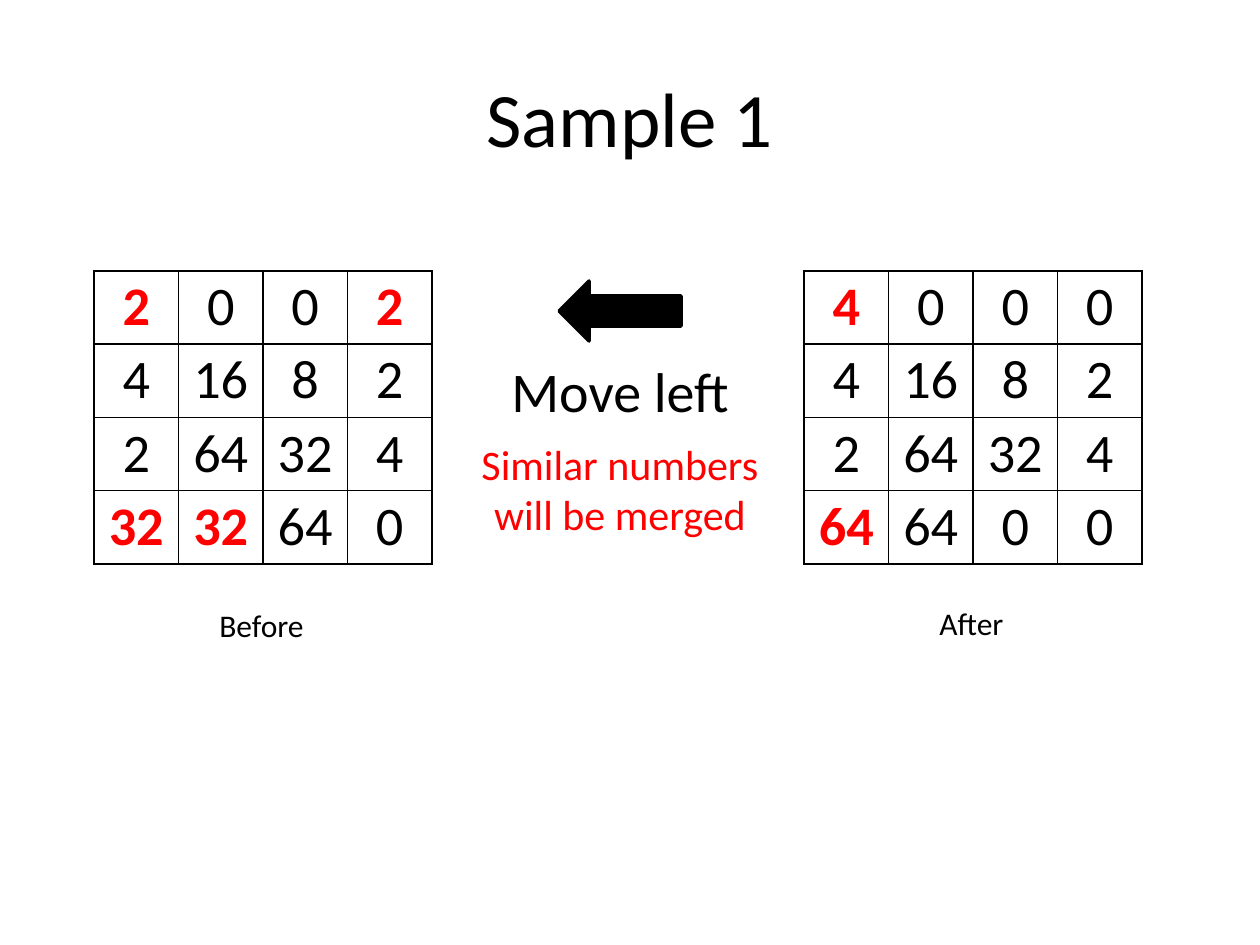
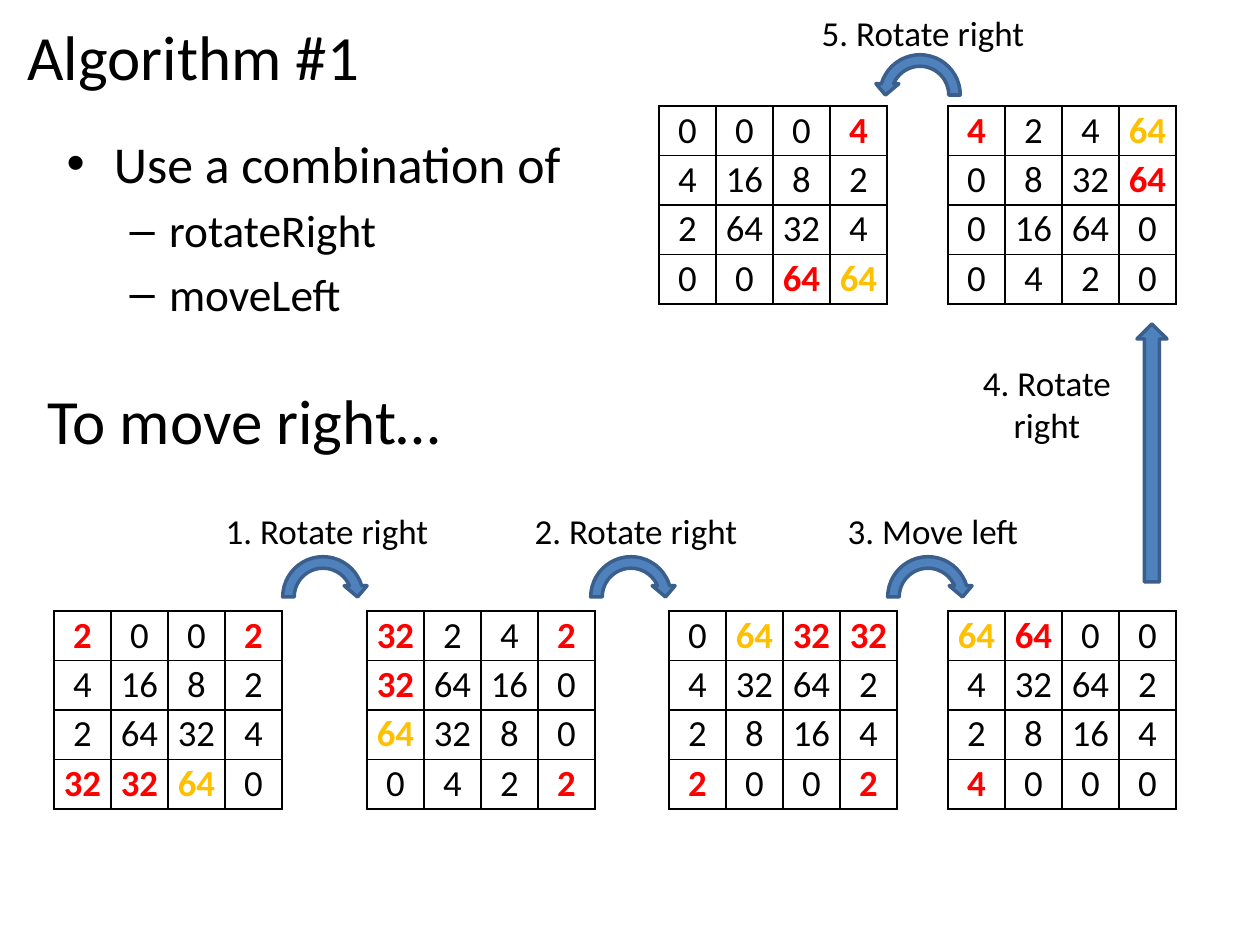
from lxml import etree
from pptx import Presentation
from pptx.dml.color import RGBColor
from pptx.enum.shapes import MSO_SHAPE
from pptx.enum.text import MSO_ANCHOR, MSO_AUTO_SIZE, PP_ALIGN
from pptx.oxml.ns import qn
from pptx.util import Emu, Pt

LEFT, CENTER = PP_ALIGN.LEFT, PP_ALIGN.CENTER
TOP, MIDDLE = MSO_ANCHOR.TOP, MSO_ANCHOR.MIDDLE
GROW, FIXED = MSO_AUTO_SIZE.SHAPE_TO_FIT_TEXT, MSO_AUTO_SIZE.NONE
RIGHT_ARROW, UP_ARROW = MSO_SHAPE.RIGHT_ARROW, MSO_SHAPE.UP_ARROW
CIRCULAR_ARROW = MSO_SHAPE.CIRCULAR_ARROW

EMU_PER_PIXEL = 914400 / 126
FONT = "Calibri"
COLORS = {"black": "000000", "red": "FF0000", "gold": "FFC000",
          "blue": "4F81BD", "navy": "3A5F8C"}
MARKS = {"*": "red", "+": "gold"}  # a mark after a number makes it bold and coloured
BIG = dict(width=338, height=293, size=31, margins=(6, 3))
SMALL = dict(width=228, height=198, size=21, margins=(4, 2))

# Content: boards are (left, top, rows), labels are (text, box)
START = ["2* 0 0 2*", "4 16 8 2", "2 64 32 4", "32* 32* 64 0"]
MERGED = ["4* 0 0 0", "4 16 8 2", "2 64 32 4", "64* 64 0 0"]
SAMPLE_BOARDS = [(94, 271, START), (804, 271, MERGED)]
SAMPLE_LABELS = [
    ("Move left", (486, 350, 268, 81), 32, "black"),
    ("Similar numbers will be merged", (451, 432, 338, 115), 24, "red"),
    ("Before", (118, 600, 287, 50), 18, "black"),
    ("After", (828, 598, 287, 50), 18, "black"),
]

BULLETS = [("Use a combination of", 0, 29.6), ("rotateRight", 1, 25.9),
           ("moveLeft", 1, 25.9)]
LOWER, UPPER = 611, 106
STEP_BOARDS = [
    (54, LOWER, ["2* 0 0 2*", "4 16 8 2", "2 64 32 4", "32* 32* 64+ 0"]),
    (367, LOWER, ["32* 2 4 2*", "32* 64 16 0", "64+ 32 8 0", "0 4 2 2*"]),
    (669, LOWER, ["0 64+ 32* 32*", "4 32 64 2", "2 8 16 4", "2* 0 0 2*"]),
    (948, LOWER, ["64+ 64* 0 0", "4 32 64 2", "2 8 16 4", "4* 0 0 0"]),
    (948, UPPER, ["4* 2 4 64+", "0 8 32 64*", "0 16 64 0", "0 4 2 0"]),
    (659, UPPER, ["0 0 0 4*", "4 16 8 2", "2 64 32 4", "0 0 64* 64+"]),
]
STEP_LABELS = [
    ("1. Rotate right", (203, 503, 248, 55)),
    ("2. Rotate right", (512, 503, 248, 55)),
    ("3. Move left", (819, 503, 228, 55)),
    ("4. Rotate right", (948, 355, 198, 97)),
    ("5. Rotate right", (799, 5, 248, 55)),
]
TURNS = [(277, LOWER, False), (585, LOWER, False), (882, LOWER, False),
         (874, UPPER + 3, True)]  # left, top of the boards, mirrored
TURN_SIZE, TURN_RISE = 92, 60


def px(value):
    return Emu(round(value * EMU_PER_PIXEL))


def rgb(name):
    return RGBColor.from_string(COLORS[name])


def write(para, text, size, color="black", bold=False, align=None):
    """Put one formatted run into a paragraph."""
    para.alignment = align
    span = para.add_run()
    span.text = text
    span.font.name, span.font.size, span.font.bold = FONT, Pt(size), bold
    span.font.color.rgb = rgb(color)


def place(shape, box):
    shape.left, shape.top, shape.width, shape.height = map(px, box)


def add_title(page, text, box, size, align, anchor):
    title = page.shapes.title
    place(title, box)
    title.text_frame.auto_size = FIXED
    title.text_frame.vertical_anchor = anchor
    write(title.text_frame.paragraphs[0], text, size, align=align)


def add_label(page, text, box, size, color="black", align=CENTER):
    frame = page.shapes.add_textbox(*map(px, box)).text_frame
    frame.word_wrap = True
    frame.auto_size = GROW
    write(frame.paragraphs[0], text, size, color, align=align)


def add_arrow(page, kind, box, fill="blue", line="navy"):
    arrow = page.shapes.add_shape(kind, *map(px, box))
    arrow.shadow.inherit = False
    arrow.fill.solid()
    arrow.fill.fore_color.rgb = rgb(fill)
    arrow.line.color.rgb = rgb(line)
    arrow.line.width = Pt(2)
    return arrow


def add_borders(cell):
    properties = cell._tc.get_or_add_tcPr()
    for side in ("a:lnL", "a:lnR", "a:lnT", "a:lnB"):
        border = etree.SubElement(properties, qn(side), w=str(Pt(1)))
        fill = etree.SubElement(border, qn("a:solidFill"))
        etree.SubElement(fill, qn("a:srgbClr"), val=COLORS["black"])


def add_board(page, left, top, rows, width, height, size, margins):
    grid = [row.split() for row in rows]
    count = len(grid)
    table = page.shapes.add_table(count, count, *map(px, (left, top, width, height))).table
    table.first_row = table.horz_banding = False
    for r, numbers in enumerate(grid):
        table.rows[r].height = px(height / count)
        table.columns[r].width = px(width / count)
        for c, number in enumerate(numbers):
            cell = table.cell(r, c)
            add_borders(cell)
            cell.fill.background()
            cell.margin_left = cell.margin_right = px(margins[0])
            cell.margin_top = cell.margin_bottom = px(margins[1])
            color = MARKS.get(number[-1], "black")
            write(cell.text_frame.paragraphs[0], number.rstrip("*+"), size, color,
                  bold=color != "black", align=CENTER)


deck = Presentation()
deck.slide_width, deck.slide_height = px(1260), px(945)

# Slide 1: one move, before and after
page = deck.slides.add_slide(deck.slide_layouts[5])
add_title(page, "Sample 1", (63, 38, 1134, 157), 44, CENTER, MIDDLE)
for left, top, rows in SAMPLE_BOARDS:
    add_board(page, left, top, rows, **BIG)
add_arrow(page, RIGHT_ARROW, (559, 281, 122, 60), "black", "black").rotation = 180
for text, box, size, color in SAMPLE_LABELS:
    add_label(page, text, box, size, color)

# Slide 2: the steps of the algorithm
page = deck.slides.add_slide(deck.slide_layouts[1])
add_title(page, "Algorithm #1", (15, 11, 1245, 89), 36, LEFT, TOP)
body = page.placeholders[1]
place(body, (54, 125, 529, 248))
frame = body.text_frame
frame.auto_size = FIXED
for index, (text, level, size) in enumerate(BULLETS):
    para = frame.add_paragraph() if index else frame.paragraphs[0]
    para.level = level
    write(para, text, size)
add_label(page, "To move right…", (35, 375, 576, 89), 36, align=LEFT)

for left, top, rows in STEP_BOARDS:
    add_board(page, left, top, rows, **SMALL)
for text, box in STEP_LABELS:
    add_label(page, text, box, 20)
for left, board_top, mirrored in TURNS:
    turn = add_arrow(page, CIRCULAR_ARROW,
                     (left, board_top - TURN_RISE, TURN_SIZE, TURN_SIZE))
    if mirrored:
        turn.element.spPr.find(qn("a:xfrm")).set("flipH", "1")
add_arrow(page, UP_ARROW, (1137, 324, 30, 258))

deck.save("out.pptx")
